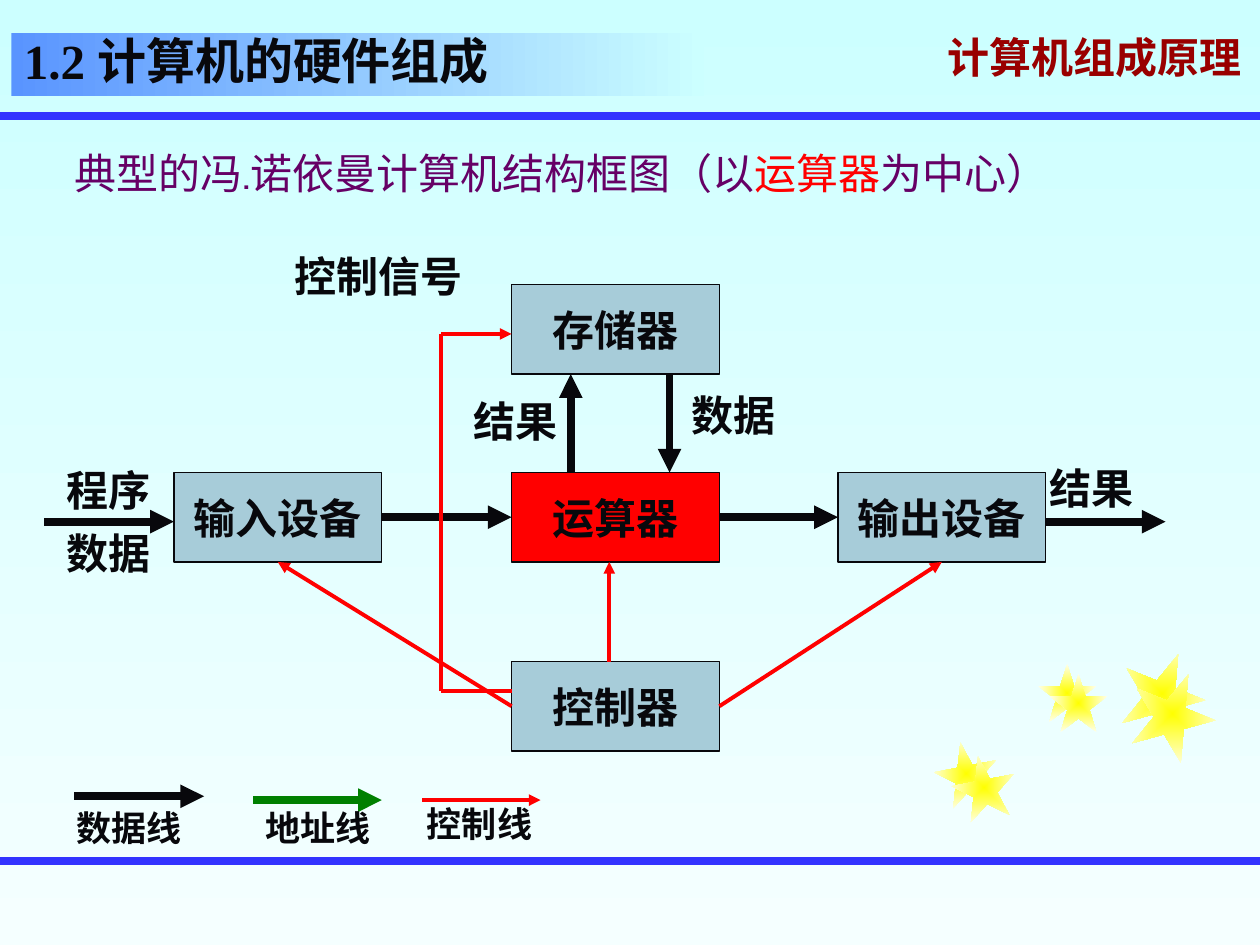
from lxml import etree
from pptx import Presentation, util as u
from pptx.dml.color import RGBColor
from pptx.enum import shapes, text
from pptx.oxml import parse_xml
from pptx.oxml.ns import nsdecls, qn

INK, RED, GREEN, STEEL, BLUE = "08080C", "FF0000", "008000", "A7CCD9", "3333FF"
PURPLE, MAROON = "660066", "990000"
SERIF, SANS, CJK = "Times New Roman", "Cabin", "Noto Sans CJK SC"
THICK, THIN = 4.5, 2.25
WIDTH, HEIGHT = 10, 7.5

TITLE = "1.2 计算机的硬件组成"
COURSE = "计算机组成原理"
INTRO = [("典型的冯.诺依曼计算机结构框图（以", PURPLE), ("运算器", RED), ("为中心）", PURPLE)]

COLUMNS, ROWS = (1.38, 4.06, 6.65), (2.26, 3.75, 5.25)
UNIT_W, UNIT_H = 1.65, 0.71
# name: (column, row, fill, font)
UNITS = {
    "输入设备": (0, 1, STEEL, SERIF),
    "输出设备": (2, 1, STEEL, SERIF),
    "运算器": (1, 1, RED, CJK),
    "存储器": (1, 0, STEEL, CJK),
    "控制器": (1, 2, STEEL, CJK),
}
# text, left, top, width
LABELS = [
    ("程序", 0.43, 3.64, 1.02), ("数据", 0.43, 4.14, 1.02), ("结果", 8.23, 3.62, 1.02),
    ("数据", 5.39, 3.04, 1.02), ("结果", 3.66, 3.09, 1.02), ("控制信号", 2.24, 1.94, 1.65),
]
# text, text left, text top, arrow left, arrow top, arrow length, colour, weight
LEGEND = [
    ("数据线", 0.51, 6.35, 0.59, 6.32, 1.03, INK, THICK),
    ("地址线", 2.01, 6.35, 2.01, 6.35, 1.02, GREEN, THICK),
    ("控制线", 3.29, 6.32, 3.35, 6.35, 0.94, RED, THIN),
]
# left, top, size, rotation; each star has a twin at an offset
STARS = [
    (7.42, 5.89, 0.5, 349, 0.14, 0.11),
    (8.24, 5.27, 0.46, 0, 0.09, 0.08),
    (8.89, 5.17, 0.67, 22, 0.08, 0.16),
]

prs = Presentation()
prs.slide_width, prs.slide_height = u.Inches(WIDTH), u.Inches(HEIGHT)
slide = prs.slides.add_slide(prs.slide_layouts[5])


def rgb(value):
    return RGBColor.from_string(value)


def inches(*values):
    return [u.Inches(v) for v in values]


def gradient(fill, start, end, angle=0):
    fill.gradient()
    fill.gradient_angle = angle
    for stop, color in zip(fill.gradient_stops, (start, end)):
        stop.color.rgb = rgb(color)


def write(shape, runs, size=24, font=SERIF, color=INK, bold=True, anchor="TOP",
          align="LEFT", wrap=True, spacing=None):
    """Fill a shape with one paragraph; runs is a string or (text, colour) pairs."""
    frame = shape.text_frame
    frame.word_wrap = wrap
    frame.auto_size = text.MSO_AUTO_SIZE.NONE
    frame.vertical_anchor = text.MSO_ANCHOR[anchor]
    paragraph = frame.paragraphs[0]
    paragraph.alignment = text.PP_ALIGN[align]
    paragraph.line_spacing = spacing
    for words, tint in [(runs, color)] if isinstance(runs, str) else runs:
        run = paragraph.add_run()
        run.text = words
        run.font.size, run.font.bold, run.font.name = u.Pt(size), bold, font
        run.font.color.rgb = rgb(tint)
        latin = run.font._element.find(qn("a:latin"))
        east_asian = etree.Element(qn("a:ea"), typeface=CJK)
        latin.addnext(east_asian)
    return shape


def label(runs, left, top, width, height=0.5, **style):
    return write(slide.shapes.add_textbox(*inches(left, top, width, height)), runs, **style)


def line(start, end, color=INK, weight=THICK, arrow=True):
    link = slide.shapes.add_connector(shapes.MSO_CONNECTOR.STRAIGHT, *inches(*start, *end))
    link.line.color.rgb, link.line.width = rgb(color), u.Pt(weight)
    if arrow:
        etree.SubElement(link.line._get_or_add_ln(), qn("a:tailEnd"), type="triangle")
    etree.SubElement(link._element.spPr, qn("a:effectLst"))


def on(unit, across, down):
    """Point on a unit, as shares of its width and height."""
    column, row = UNITS[unit][:2]
    return COLUMNS[column] + across * UNIT_W, ROWS[row] + down * UNIT_H


def star(left, top, size, rotation):
    shape = slide.shapes.add_shape(shapes.MSO_SHAPE.STAR_5_POINT, *inches(left, top, size, size))
    shape.rotation, shape.shadow.inherit = rotation, False
    shape.line.fill.background()
    gradient(shape.fill, "FFFF00", "FFFFE9")
    linear = shape._element.spPr.find(".//" + qn("a:lin"))
    linear.getparent().replace(linear, parse_xml(
        f'<a:path {nsdecls("a")} path="rect">'
        '<a:fillToRect l="50000" t="50000" r="50000" b="50000"/></a:path>'))


gradient(slide.background.fill, "CCFFFF", "F5FFFF", angle=270)

# Frame of the page
course = label(COURSE, 7.42, 0.25, 2.58, font=CJK, color=MAROON, anchor="MIDDLE", spacing=0.7)
course_font = course.text_frame.paragraphs[0].runs[0].font._element
course_font.find(qn("a:solidFill")).addnext(parse_xml(
    f'<a:effectLst {nsdecls("a")}><a:outerShdw dist="17961" dir="2700000">'
    '<a:srgbClr val="808080"/></a:outerShdw></a:effectLst>'))
for rule_top in (0.92, 6.83):
    line((0, rule_top), (WIDTH, rule_top), BLUE, arrow=False)
for twin in (0, 1):
    for left, top, size, rotation, dx, dy in STARS:
        star(left + twin * dx, top + twin * dy, size, rotation)

title = slide.shapes.title
title.left, title.top, title.width, title.height = inches(0.09, 0.26, 5.5, 0.5)
gradient(title.fill, "5994FF", "CCFFFF")
write(title, TITLE, size=28, anchor="BOTTOM")
label(INTRO, 0.49, 1.2, 8.14, 0.57, font=SANS, bold=False, spacing=0.8)

# Block diagram
for name, (column, row, fill, font) in UNITS.items():
    unit = slide.shapes.add_shape(
        shapes.MSO_SHAPE.RECTANGLE, *inches(COLUMNS[column], ROWS[row], UNIT_W, UNIT_H))
    unit.shadow.inherit = False
    unit.fill.solid()
    unit.fill.fore_color.rgb = rgb(fill)
    unit.line.color.rgb, unit.line.width = rgb(INK), u.Pt(0.75)
    write(unit, name, font=font, anchor="MIDDLE", align="CENTER", wrap=False)

outer_in, outer_out = on("输入设备", 0, 0.55), on("输出设备", 1, 0.55)
data_lines = [
    (on("输入设备", 1, 0.5), on("运算器", 0, 0.5)),
    (on("运算器", 1, 0.5), on("输出设备", 0, 0.5)),
    ((0.35, outer_in[1]), outer_in),
    (outer_out, (9.25, outer_out[1])),
    (on("运算器", 0.285, 0), on("存储器", 0.285, 1)),
    (on("存储器", 0.76, 1), on("运算器", 0.76, 0)),
]
for start, end in data_lines:
    line(start, end)

control_lines = [
    (on("控制器", 1, 0.5), on("输出设备", 0.5, 1)),
    (on("控制器", 0, 0.5), on("输入设备", 0.5, 1)),
    (on("控制器", 0.47, 0), on("运算器", 0.47, 1)),
]
for start, end in control_lines:
    line(start, end, RED, THIN)

bend = 3.5
leave, enter = on("控制器", 0, 0.33), on("存储器", 0, 0.55)
detour = [leave, (bend, leave[1]), (bend, enter[1]), enter]
for start, end in zip(detour, detour[1:]):
    line(start, end, RED, THIN, arrow=end == enter)

for words, left, top, width in LABELS:
    label(words, left, top, width)

for words, left, top, arrow_left, arrow_top, length, color, weight in LEGEND:
    line((arrow_left, arrow_top), (arrow_left + length, arrow_top), color, weight)
    label(words, left, top, 1.18, 0.44, size=20)

prs.save("out.pptx")
